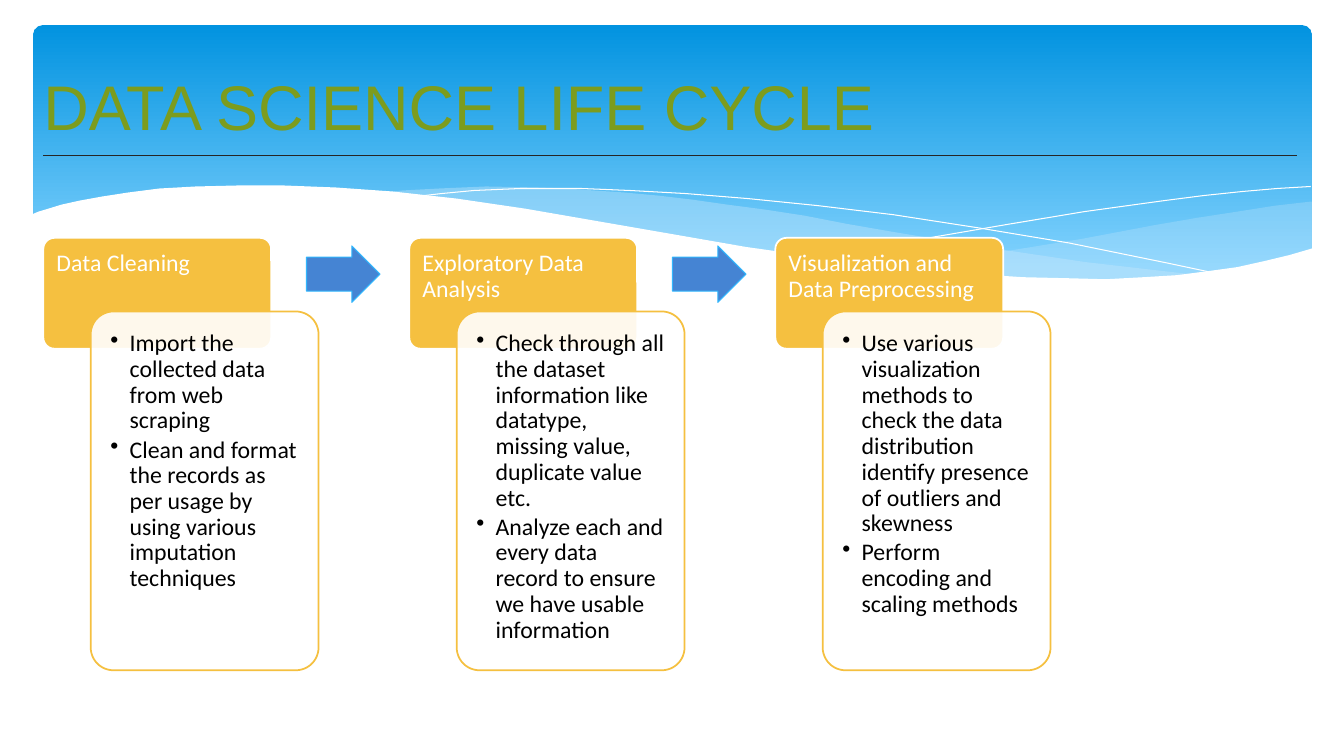
"""Build the data science life cycle slide: a wave banner over three linked stages."""
import lxml.etree
import pptx
import pptx.dml.color
import pptx.enum.shapes
import pptx.enum.text
import pptx.oxml.ns
import pptx.util

Inches, Pt = pptx.util.Inches, pptx.util.Pt
qn = pptx.oxml.ns.qn
SHAPES = pptx.enum.shapes.MSO_SHAPE


def paint(color_owner, color, opacity=100):
    """Colour a fill solidly, with an opacity in percent."""
    color_owner.solid()
    color_owner.fore_color.rgb = pptx.dml.color.RGBColor.from_string(color)
    if opacity < 100:
        color_tag = color_owner._xPr.find(".//" + qn("a:srgbClr"))
        lxml.etree.SubElement(color_tag, qn("a:alpha"), val=str(opacity * 1000))


def prepare_text(shape, margins):
    """Wrap the text from the top, with left, top, right and bottom margins in inches."""
    frame = shape.text_frame
    frame.word_wrap = True
    frame.vertical_anchor = pptx.enum.text.MSO_ANCHOR.TOP
    (frame.margin_left, frame.margin_top,
     frame.margin_right, frame.margin_bottom) = map(Inches, margins)
    return frame


deck = pptx.Presentation()
deck.slide_width, deck.slide_height = Inches(13.33), Inches(7.5)
slide = deck.slides.add_slide(deck.slide_layouts[6])
paint(slide.background.fill, "FFFFFF")

banner = slide.shapes.add_shape(
    SHAPES.ROUNDED_RECTANGLE, Inches(0.33), Inches(0.25), Inches(12.68), Inches(2.7))
banner.adjustments[0] = 0.034
banner.shadow.inherit = False
banner.line.fill.background()
banner.fill.gradient()
banner.fill.gradient_angle = 270
for stop, color, position in zip(banner.fill.gradient_stops, ("0293E0", "83D3FE"), (0, 0.9)):
    stop.color.rgb = pptx.dml.color.RGBColor.from_string(color)
    stop.position = position

# Wave points are in hundredths of an inch.
right_wave = [
    (1300, 200), (1265, 204), (1227, 210), (1188, 216), (1147, 223), (1073, 237), (1005, 248),
    (941, 257), (882, 265), (921, 269), (958, 272), (993, 275), (1041, 277), (1085, 278),
    (1126, 277), (1163, 274), (1196, 270), (1228, 265), (1257, 259), (1284, 252), (1301, 247),
    (1301, 200)]
middle_wave = [
    (1190, 273), (1154, 269), (1076, 260), (989, 247), (891, 231), (839, 222), (798, 214),
    (759, 208), (721, 203), (686, 198), (652, 194), (619, 191), (589, 189), (560, 187),
    (532, 186), (482, 185), (437, 187), (399, 189), (382, 191), (431, 196), (483, 203),
    (539, 211), (599, 222), (654, 232), (706, 240), (755, 248), (802, 255), (846, 261),
    (887, 266), (926, 270), (963, 274), (998, 276), (1030, 277), (1076, 278), (1118, 278),
    (1156, 276)]
falling_line = [
    (412, 195), (438, 192), (470, 189), (516, 187), (577, 187), (625, 189), (680, 192),
    (742, 197), (811, 204), (886, 213), (970, 226), (1060, 241), (1158, 261), (1210, 272)]
rising_line = [
    (818, 257), (870, 246), (927, 235), (997, 223), (1075, 210), (1155, 199), (1194, 194),
    (1232, 190), (1267, 187), (1300, 185)]
front_wave = [
    (1303, 246), (1279, 253), (1254, 259), (1227, 265), (1198, 269), (1167, 273), (1134, 275),
    (1097, 277), (1058, 276), (1015, 275), (969, 272), (918, 268), (863, 262), (804, 254),
    (740, 245), (671, 233), (596, 220), (521, 207), (453, 197), (390, 190), (333, 186),
    (282, 184), (235, 184), (194, 185), (158, 187), (127, 191), (101, 195), (79, 199),
    (61, 203), (48, 207), (38, 210), (31, 213), (31, 329), (1303, 329)]
for points, color, opacity in (
        (right_wave, "C6E7FC", 29), (middle_wave, "C6E7FC", 40),
        (falling_line, None, 100), (rising_line, None, 100), (front_wave, "FFFFFF", 100)):
    builder = slide.shapes.build_freeform(*points[0], scale=Inches(0.01))
    builder.add_line_segments(points[1:], close=color is not None)
    wave = builder.convert_to_shape()
    wave.shadow.inherit = False
    if color:
        paint(wave.fill, color, opacity)
        wave.line.fill.background()
    else:
        wave.fill.background()
        paint(wave.line.fill, "FFFFFF")
        wave.line.width = Pt(0)

title_rule = slide.shapes.add_connector(
    pptx.enum.shapes.MSO_CONNECTOR.STRAIGHT,
    Inches(0.43), Inches(1.54), Inches(12.86), Inches(1.54))
paint(title_rule.line.fill, "262626")
title_rule.line.width = Pt(1)
lxml.etree.SubElement(title_rule._element.spPr, qn("a:effectLst"))

title = slide.shapes.add_textbox(Inches(0.43), Inches(0.37), Inches(12.43), Inches(1.1))
title_frame = prepare_text(title, (0, 0.05, 0, 0.05))
title_frame.vertical_anchor = pptx.enum.text.MSO_ANCHOR.BOTTOM
heading = title_frame.paragraphs[0]
heading.text = "DATA SCIENCE LIFE CYCLE"
heading.font.size, heading.font.name = Pt(45), "Arial"
paint(heading.font.fill, "7C9C1E")

stages = [
    ("Data Cleaning", [
        "Import the collected data from web scraping",
        "Clean and format the records as per usage by using various imputation techniques"]),
    ("Exploratory Data Analysis", [
        "Check through all the dataset information like datatype, missing value, "
        "duplicate value etc.",
        "Analyze each and every data record to ensure we have usable information"]),
    ("Visualization and Data Preprocessing", [
        "Use various visualization methods to check the data distribution identify "
        "presence of outliers and skewness",
        "Perform encoding and scaling methods"]),
]
for index, (stage, tasks) in enumerate(stages):
    left = 0.43 + 3.63 * index
    for box_left, top, height, fill, opacity, border, margin, ink, lines in (
            (left, 2.36, 1.1, "F5C040", 100, "FFFFFF", 0.1, "FFFFFF", [stage]),
            (left + 0.47, 3.09, 3.56, "FFFFFF", 90, "F5C040", 0.13, "000000", tasks)):
        card = slide.shapes.add_shape(
            SHAPES.ROUNDED_RECTANGLE, Inches(box_left), Inches(top), Inches(2.26), Inches(height))
        card.adjustments[0] = 0.1
        card.shadow.inherit = False
        paint(card.fill, fill, opacity)
        paint(card.line.fill, border)
        card.line.width = Pt(1.25)
        frame = prepare_text(card, [margin] * 4)
        for number, line in enumerate(lines):
            entry = frame.add_paragraph() if number else frame.paragraphs[0]
            entry.text = line
            entry.alignment = pptx.enum.text.PP_ALIGN.LEFT
            entry.line_spacing, entry.space_after = 0.9, Pt(2.5)
            if lines is tasks:
                properties = entry._p.get_or_add_pPr()
                properties.set("marL", str(Inches(0.19)))
                properties.set("indent", str(Inches(-0.19)))
                lxml.etree.SubElement(properties, qn("a:buChar"), char="•")
            entry.font.size, entry.font.name = Pt(17), "Calibri"
            paint(entry.font.fill, ink)
    if index < len(stages) - 1:
        arrow = slide.shapes.add_shape(
            SHAPES.RIGHT_ARROW, Inches(left + 2.61), Inches(2.44), Inches(0.73), Inches(0.56))
        arrow.adjustments[0], arrow.adjustments[1] = 0.6, 0.5
        arrow.shadow.inherit = False
        paint(arrow.fill, "4584D3")
        paint(arrow.line.fill, "31B6FD")
        arrow.line.width = Pt(0.75)

deck.save("out.pptx")
